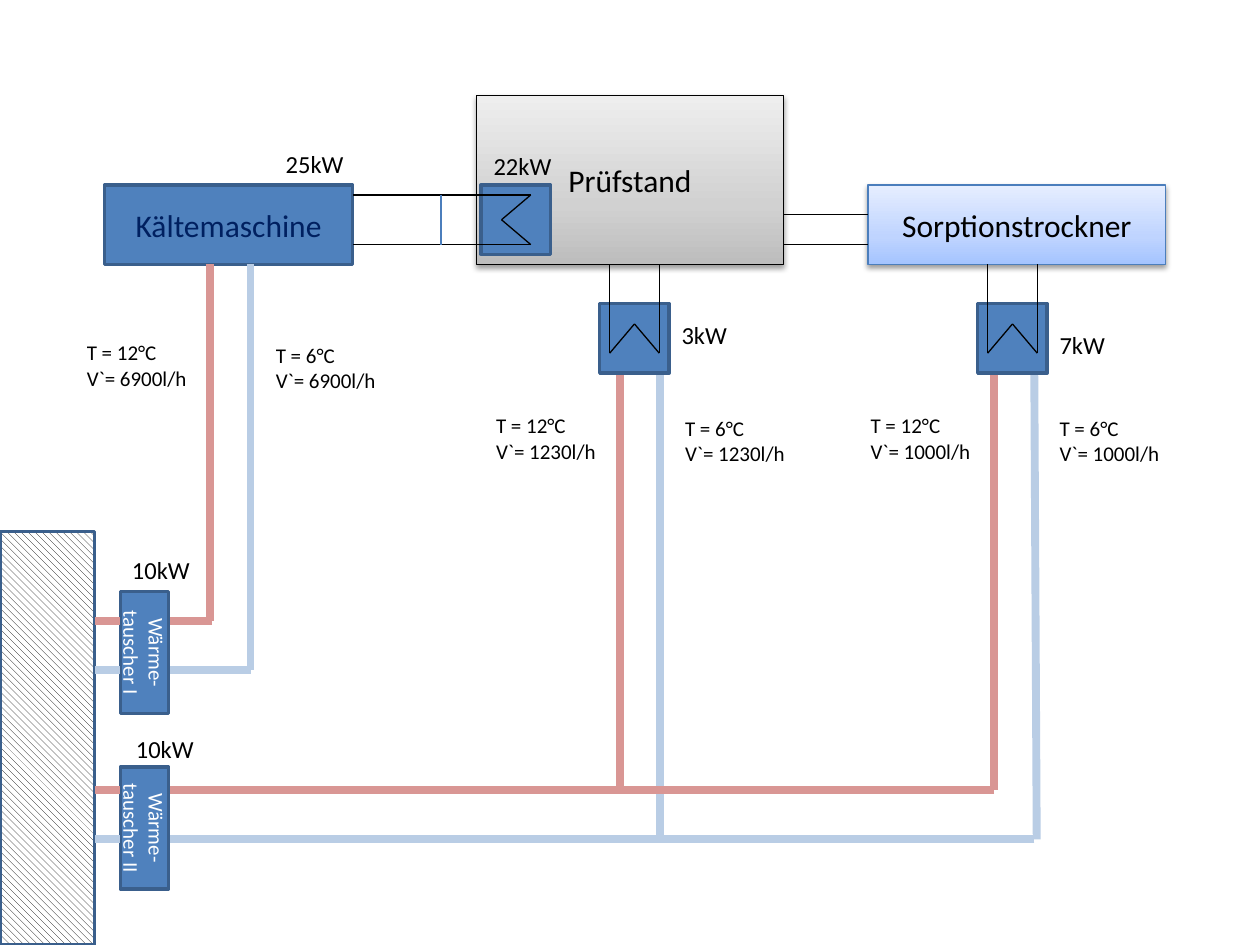
from copy import deepcopy
from typing import NamedTuple

from lxml.etree import SubElement
from pptx import Presentation
from pptx.dml.color import RGBColor
from pptx.enum.dml import MSO_PATTERN
from pptx.enum.shapes import MSO_CONNECTOR, MSO_SHAPE
from pptx.enum.text import MSO_ANCHOR, MSO_AUTO_SIZE, PP_ALIGN
from pptx.oxml.ns import qn
from pptx.util import Cm, Pt

BLACK, WHITE, NAVY = "000000", "FFFFFF", "002060"
STEEL, EDGE, THIN_BLUE = "4F81BD", "3A5F8C", "4B7EBC"
HOT, COLD = "D99694", "B9CDE5"
GREYS = ("BDBDBD", "D1D1D1", "EEEEEE")
BLUES = ("A4C4FF", "BFD4FF", "E6EEFF")
PIPE = 4.5
HAIR = 0.75


class Unit(NamedTuple):
    """A rectangle of the plant; three fill colours make a gradient."""
    left: float
    top: float
    width: float
    height: float
    fills: tuple = (STEEL,)
    edge: str = EDGE
    weight: float = 2
    caption: str = ""
    ink: str = WHITE
    size: int = 18
    turn: int = 0


class Line(NamedTuple):
    """A straight line between two points."""
    x1: float
    y1: float
    x2: float
    y2: float
    color: str = BLACK
    weight: float = HAIR


class Label(NamedTuple):
    """Loose text, one paragraph for each row."""
    left: float
    top: float
    width: float
    height: float
    size: int
    rows: tuple


class Coil(NamedTuple):
    """A heat exchanger; its two pipes run to `end`, upwards or leftwards."""
    left: float
    top: float
    end: float
    sideways: bool = False


def rgb(color: str) -> RGBColor:
    """Turn a hex string into a colour."""
    return RGBColor.from_string(color)


def style_paragraph(para, text: str, size: int, color: str) -> None:
    """Write text into a paragraph and set its font."""
    para.text = text
    para.font.name = "Calibri"
    para.font.size = Pt(size)
    para.font.color.rgb = rgb(color)


def add_soft_shadow(shape) -> None:
    """Give a shape a small shadow below it."""
    effects = shape._element.spPr.find(qn("a:effectLst"))
    shadow = SubElement(effects, qn("a:outerShdw"), blurRad="40000",
                        dist="20000", dir="5400000", rotWithShape="0")
    color = SubElement(shadow, qn("a:srgbClr"), val=BLACK)
    SubElement(color, qn("a:alpha"), val="38000")


def fill_gradient(shape, colors: tuple) -> None:
    """Fill a shape with three colours from bottom to top."""
    shape.fill.gradient()
    shape.fill.gradient_angle = 90
    stop_list = next(shape._element.spPr.iter(qn("a:gsLst")))
    stop_list.append(deepcopy(stop_list[-1]))
    for stop, position, color in zip(shape.fill.gradient_stops, (0, 0.35, 1), colors):
        stop.position = position
        stop.color.rgb = rgb(color)


def draw_unit(page, unit: Unit):
    """Draw a rectangle with its caption."""
    shape = page.shapes.add_shape(MSO_SHAPE.RECTANGLE, *map(Cm, unit[:4]))
    shape.rotation = unit.turn
    shape.shadow.inherit = False
    shape.line.color.rgb = rgb(unit.edge)
    shape.line.width = Pt(unit.weight)
    if len(unit.fills) > 1:
        fill_gradient(shape, unit.fills)
        add_soft_shadow(shape)
    else:
        shape.fill.solid()
        shape.fill.fore_color.rgb = rgb(unit.fills[0])
    if unit.caption:
        shape.text_frame.word_wrap = True
        shape.text_frame.vertical_anchor = MSO_ANCHOR.MIDDLE
        para = shape.text_frame.paragraphs[0]
        para.alignment = PP_ALIGN.CENTER
        style_paragraph(para, unit.caption, unit.size, unit.ink)
    return shape


def draw_line(page, line: Line) -> None:
    """Draw a line without shadow."""
    link = page.shapes.add_connector(MSO_CONNECTOR.STRAIGHT, *map(Cm, line[:4]))
    link.line.color.rgb = rgb(line.color)
    link.line.width = Pt(line.weight)
    SubElement(link._element.spPr, qn("a:effectLst"))


def draw_label(page, label: Label) -> None:
    """Draw a text box."""
    box = page.shapes.add_textbox(*map(Cm, label[:4]))
    frame = box.text_frame
    frame.word_wrap = True
    frame.auto_size = MSO_AUTO_SIZE.SHAPE_TO_FIT_TEXT
    for index, row in enumerate(label.rows):
        para = frame.add_paragraph() if index else frame.paragraphs[0]
        style_paragraph(para, row, label.size, BLACK)


def draw_coil(page, coil: Coil) -> None:
    """Draw an exchanger box, its two pipes and the zigzag joining them."""
    draw_unit(page, Unit(coil.left, coil.top, 1.4, 1.4))
    if coil.sideways:
        tip = (coil.left + 0.41, coil.top + 0.7)
    else:
        tip = (coil.left + 0.7, coil.top + 0.41)
    for offset in (0.2, 1.2):
        if coil.sideways:
            start = (coil.left + 1, coil.top + offset)
            end = (coil.end, start[1])
        else:
            start = (coil.left + offset, coil.top + 1)
            end = (start[0], coil.end)
        draw_line(page, Line(*start, *end))
        draw_line(page, Line(*start, *tip))


deck = Presentation()
deck.slide_width, deck.slide_height = Cm(25.4), Cm(19.05)
page = deck.slides.add_slide(deck.slide_layouts[6])

MACHINE_TOP, MACHINE_BOTTOM = 3.73, 5.33
SPLIT = 8.89
HOT_LEVELS, COLD_LEVELS = (12.52, 15.93), (13.51, 16.92)

machines = [
    Unit(9.6, 1.93, 6.2, 3.4, GREYS, BLACK, HAIR, "Prüfstand", BLACK),
    Unit(2.11, MACHINE_TOP, 5, 1.6, caption="Kältemaschine", ink=NAVY),
    Unit(17.5, MACHINE_TOP, 6, 1.6, BLUES, THIN_BLUE, HAIR, "Sorptionstrockner", BLACK),
]
exchangers = [Unit(1.68, top, 2.46, 0.97, caption=f"Wärme-tauscher {number}", size=12, turn=90)
              for top, number in ((16.21, "II"), (12.67, "I"))]
coils = [Coil(9.7, MACHINE_TOP, SPLIT, True),
         Coil(19.71, 6.12, MACHINE_BOTTOM), Coil(12.09, 6.12, MACHINE_BOTTOM)]

risers = [
    Line(13.31, 7.32, 13.31, COLD_LEVELS[1], COLD, PIPE),
    Line(12.5, 7.32, 12.5, HOT_LEVELS[1], HOT, PIPE),
    Line(5.05, MACHINE_BOTTOM, 5.05, COLD_LEVELS[0], COLD, PIPE),
    Line(4.24, MACHINE_BOTTOM, 4.24, HOT_LEVELS[0], HOT, PIPE),
    Line(20.85, 7.52, 20.9, COLD_LEVELS[1], COLD, PIPE),
    Line(20.04, 7.52, 20.04, HOT_LEVELS[1], HOT, PIPE),
]
stubs = [Line(2.41, level, 1.91, level, color, PIPE)
         for color, levels in ((HOT, HOT_LEVELS), (COLD, COLD_LEVELS)) for level in levels]
mains = [Line(right, level, 3.43, level, color, PIPE) for right, level, color in (
    (20.85, COLD_LEVELS[1], COLD), (20.04, HOT_LEVELS[1], HOT),
    (4.27, HOT_LEVELS[0], HOT), (5.05, COLD_LEVELS[0], COLD))]
ducts = [Line(SPLIT, level, 7.11, level) for level in (3.93, 4.93)]
ducts += [Line(15.8, level, 17.5, level) for level in (4.32, 4.93)]
ducts.append(Line(SPLIT, 3.93, SPLIT, 4.93, THIN_BLUE))

readings = [Label(left + 3.81 * cold, top + 0.05 * cold, 2.95, 1.27, 12,
                  (f"T = {6 if cold else 12}°C", f"V`= {flow}l/h"))
            for left, top, flow in ((1.5, 6.73, 6900), (9.75, 8.2, 1230), (17.3, 8.2, 1000))
            for cold in (0, 1)]
powers = [Label(left, top, 1.9, 0.86, 14, (f"{power}kW",)) for left, top, power in (
    (13.49, 6.32, 3), (21.11, 6.53, 7), (9.7, 2.92, 22), (5.51, 2.87, 25),
    (2.41, 11.07, 10), (2.49, 14.68, 10))]

for machine in machines:
    draw_unit(page, machine)
for riser in risers:
    draw_line(page, riser)
for coil in coils:
    draw_coil(page, coil)
ground = draw_unit(page, Unit(0, 10.72, 1.91, 8.33))
ground.fill.patterned()
ground.fill.pattern = MSO_PATTERN.WIDE_DOWNWARD_DIAGONAL
ground.fill.fore_color.rgb = rgb(BLACK)
ground.fill.back_color.rgb = rgb(WHITE)
for exchanger in exchangers:
    draw_unit(page, exchanger)
for line in stubs + mains + ducts:
    draw_line(page, line)
for label in readings + powers:
    draw_label(page, label)

deck.save("out.pptx")
